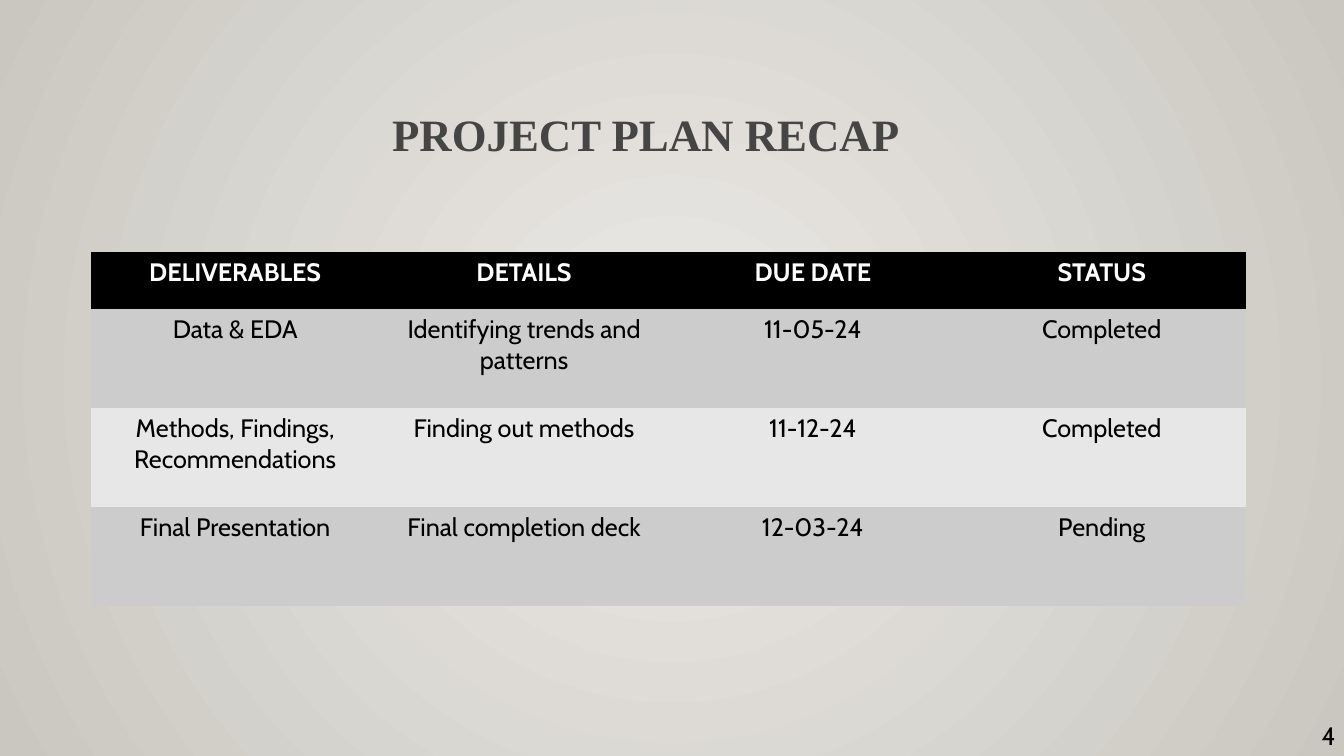
"""Build the project plan recap slide with its table of deliverables."""
from lxml import etree
from pptx import Presentation
from pptx.dml.color import RGBColor
from pptx.enum.text import MSO_ANCHOR, MSO_AUTO_SIZE, PP_ALIGN
from pptx.oxml.ns import qn
from pptx.util import Inches, Pt

CENTER = PP_ALIGN.CENTER
MIDDLE = MSO_ANCHOR.MIDDLE
GROW = MSO_AUTO_SIZE.SHAPE_TO_FIT_TEXT

BLACK = RGBColor(0x00, 0x00, 0x00)
WHITE = RGBColor(0xFF, 0xFF, 0xFF)
TITLE_GRAY = RGBColor(0x45, 0x45, 0x45)
BANDS = [RGBColor(0xCC, 0xCC, 0xCC), RGBColor(0xE7, 0xE7, 0xE7)]
GLOW = [RGBColor(0xEC, 0xEA, 0xE7), RGBColor(0xCA, 0xC7, 0xC1)]
BODY_FONT = "Cabin"
TITLE_FONT = "Times New Roman"
PLAIN_STYLE = "{2D5ABB26-0587-4C30-8999-92F81FD0307C}"

TITLE = "PROJECT PLAN RECAP"
PAGE_NUMBER = "4"
PLAN = [
    ("DELIVERABLES", "DETAILS", "DUE DATE", "STATUS"),
    ("Data & EDA", "Identifying trends and patterns", "11-05-24", "Completed"),
    ("Methods, Findings, Recommendations", "Finding out methods", "11-12-24", "Completed"),
    ("Final Presentation", "Final completion deck", "12-03-24", "Pending"),
]
TABLE_AREA = (0.9, 2.5, 11.46, 3.51)
HEADER_HEIGHT = 0.57
ROW_HEIGHT = 0.98


def style_text(para, name, size, color, bold=False):
    font = para.font
    font.name, font.size, font.bold = name, Pt(size), bold
    font.color.rgb = color


def paint_background(page):
    fill = page.background.fill
    fill.gradient()
    for stop, color in zip(fill.gradient_stops, GLOW):
        stop.color.rgb = color
    linear = next(page.element.iter(qn("a:lin")))
    radial = etree.Element(qn("a:path"), {"path": "circle"})
    center = {side: "50000" for side in "ltrb"}
    etree.SubElement(radial, qn("a:fillToRect"), center)
    linear.getparent().replace(linear, radial)


def add_text(page, text, area, name, size, color, bold=False):
    box = page.shapes.add_textbox(*map(Inches, area))
    frame = box.text_frame
    frame.text = text
    style_text(frame.paragraphs[0], name, size, color, bold)
    return frame


def add_plan(page):
    frame = page.shapes.add_table(len(PLAN), len(PLAN[0]), *map(Inches, TABLE_AREA))
    next(frame.element.iter(qn("a:tableStyleId"))).text = PLAIN_STYLE
    table = frame.table
    table.horz_banding = False
    for row_index, texts in enumerate(PLAN):
        header = row_index == 0
        table.rows[row_index].height = Inches(HEADER_HEIGHT if header else ROW_HEIGHT)
        for column_index, text in enumerate(texts):
            cell = table.cell(row_index, column_index)
            cell.fill.solid()
            cell.fill.fore_color.rgb = BLACK if header else BANDS[(row_index - 1) % 2]
            cell.text = text
            para = cell.text_frame.paragraphs[0]
            para.alignment = CENTER
            style_text(para, BODY_FONT, 18, WHITE if header else BLACK, header)


def main():
    deck = Presentation()
    deck.slide_width, deck.slide_height = Inches(13.33), Inches(7.5)
    page = deck.slides.add_slide(deck.slide_layouts[6])
    paint_background(page)
    title = add_text(page, TITLE, (3.79, 0.86, 11.88, 0.93), TITLE_FONT, 32, TITLE_GRAY, True)
    title.word_wrap = True
    title.vertical_anchor = MIDDLE
    add_plan(page)
    number = add_text(page, PAGE_NUMBER, (13.01, 7.1, 0.33, 0.4), BODY_FONT, 18, BLACK)
    number.word_wrap = False
    number.auto_size = GROW
    deck.save("out.pptx")


if __name__ == "__main__":
    main()
